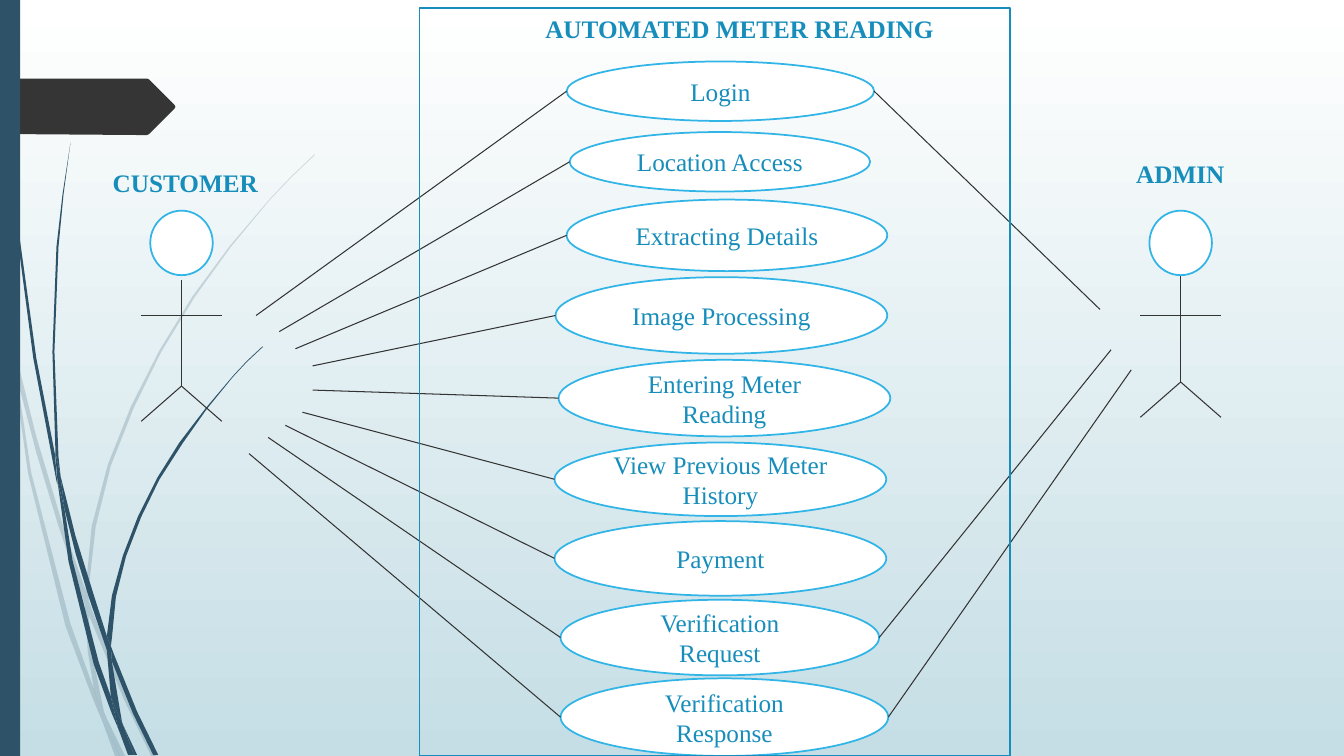
from lxml import etree
from pptx import Presentation
from pptx import util as u
from pptx.dml.color import RGBColor
from pptx.enum import shapes, text
from pptx.oxml.ns import qn

THEME = {
    "navy": "2E5369", "tag": "353535", "white": "FFFFFF", "mist": "C5DEE5",
    "sky": "31B4E6", "blue": "178DBB", "ink": "333333",
    "font": {"name": "Times New Roman", "size": u.Pt(18)},
    "thin": u.Pt(0.75), "outline": u.Pt(1.25),
}

# Grass outlines: corner points in inches, one list per blade segment
PALE_BLADES = [
    [(0.11, 3.5), (0.09, 3.22), (0, 2.82), (0, 2.99), (0.1, 3.44)],
    [(0.58, 5.22), (0.84, 5.99), (0.85, 5.86), (0.62, 5.2), (0.36, 4.33),
     (0.14, 3.45), (0.17, 3.76), (0.36, 4.49)],
    [(0.92, 6.07), (0.88, 5.96), (0.88, 6.1), (1.23, 6.94), (1.5, 7.5),
     (1.55, 7.5), (1.27, 6.92)],
    [(1.19, 7.5), (1.24, 7.5), (1.05, 7.11)],
    [(0.93, 6.83), (0.7, 6.19), (0.31, 4.69), (0.17, 3.76), (0.11, 3.5),
     (0.28, 4.7), (0.65, 6.21), (0.92, 6.93), (1.01, 7.14), (0.99, 7.07)],
    [(0.84, 5.99), (0.87, 6.46), (0.93, 6.83), (0.96, 6.92), (1.05, 7.11),
     (1.03, 7.06), (0.91, 6.46), (0.88, 6.1), (0.88, 6.08)],
    [(0.88, 5.84), (0.95, 5.22), (1.1, 4.62), (1.33, 4.04), (1.6, 3.49),
     (1.93, 2.95), (2.29, 2.45), (2.68, 1.98), (2.9, 1.75), (3.12, 1.54),
     (3.12, 1.53), (2.89, 1.75), (2.68, 1.97), (2.28, 2.44), (1.91, 2.94),
     (1.58, 3.48), (1.3, 4.03), (1.07, 4.61), (0.91, 5.22), (0.85, 5.84),
     (0.85, 5.86), (0.88, 5.96)],
    [(1.01, 7.14), (1.14, 7.5), (1.19, 7.5)],
    [(0.88, 6.08), (0.88, 5.96), (0.85, 5.86), (0.84, 5.99)],
    [(0.96, 6.92), (0.93, 6.83), (0.99, 7.07), (1.01, 7.14), (1.19, 7.5),
     (1.05, 7.11)],
]
DARK_BLADES = [
    [(0.07, 1.1), (0.17, 2.33), (0.33, 3.55), (0.56, 4.77), (0.57, 4.81),
     (0.55, 4.57), (0.55, 4.53), (0.36, 3.55), (0.19, 2.32), (0.08, 1.09),
     (0.05, 0.48), (0.04, 0), (0.03, 0), (0.04, 0.48)],
    [(0.88, 5.92), (1.06, 6.45), (1.06, 6.31), (0.93, 5.9), (0.75, 5.32),
     (0.6, 4.72), (0.64, 5.05), (0.75, 5.49)],
    [(1.13, 6.49), (1.1, 6.41), (1.11, 6.56), (1.32, 7.08), (1.52, 7.49),
     (1.57, 7.49), (1.36, 7.06)],
    [(1.1, 6.91), (0.98, 6.57), (0.72, 5.56), (0.64, 5.05), (0.57, 4.77),
     (0.68, 5.57), (0.93, 6.59), (1.11, 7.08), (1.17, 7.22), (1.16, 7.17)],
    [(0.6, 4.72), (0.58, 4.53), (0.54, 3.49), (0.58, 2.45), (0.63, 1.93),
     (0.7, 1.41), (0.62, 1.93), (0.56, 2.45), (0.52, 3.49), (0.55, 4.49)],
    [(1.33, 7.49), (1.36, 7.49), (1.22, 7.19)],
    [(0.57, 4.77), (0.64, 5.05), (0.6, 4.72), (0.55, 4.49), (0.55, 4.53)],
    [(1.11, 6.33), (1.15, 5.92), (1.25, 5.52), (1.4, 5.13), (1.58, 4.76),
     (1.81, 4.4), (2.05, 4.06), (2.31, 3.74), (2.45, 3.59), (2.61, 3.44),
     (2.6, 3.44), (2.45, 3.58), (2.31, 3.73), (2.04, 4.05), (1.78, 4.39),
     (1.56, 4.74), (1.37, 5.12), (1.22, 5.51), (1.11, 5.91), (1.06, 6.31),
     (1.1, 6.41)],
    [(1.17, 7.22), (1.27, 7.49), (1.31, 7.49)],
    [(1.06, 6.45), (1.1, 6.91), (1.16, 7.06), (1.22, 7.19), (1.21, 7.16),
     (1.11, 6.56), (1.09, 6.51)],
    [(1.06, 6.45), (1.11, 6.56), (1.1, 6.41), (1.06, 6.31)],
    [(1.16, 7.06), (1.1, 6.91), (1.16, 7.17), (1.17, 7.22), (1.3, 7.49),
     (1.33, 7.49), (1.22, 7.19)],
]
TAG = [(1.73, 1.08), (1.48, 1.33), (1.46, 1.34), (1.36, 1.34), (0, 1.33),
       (0, 0.78), (1.46, 0.78), (1.48, 0.79), (1.73, 1.04), (1.74, 1.06)]

# Use case, oval box, line start at the customer, line start at the admin
USE_CASES = [
    ("Login", (5.62, 0.61, 3.05, 0.59), (2.54, 3.13), (10.91, 3.07)),
    ("Location Access", (5.65, 1.31, 2.98, 0.59), (2.77, 3.29), None),
    ("Extracting Details", (5.62, 1.98, 3.18, 0.71), (2.93, 3.46), None),
    ("Image Processing", (5.51, 2.75, 3.29, 0.76), (3.1, 3.63), None),
    ("Entering Meter Reading", (5.54, 3.57, 3.29, 0.76), (3.1, 3.87), None),
    ("View Previous Meter History", (5.5, 4.39, 3.29, 0.73), (3, 4.09), None),
    ("Payment", (5.5, 5.17, 3.29, 0.74), (2.83, 4.22), None),
    ("Verification Request", (5.56, 5.95, 3.16, 0.75), (2.66, 4.34), (11.02, 3.47)),
    ("Verification Response", (5.56, 6.73, 3.25, 0.77), (2.47, 4.5), (11.22, 3.67)),
]
HEADINGS = [
    ("AUTOMATED METER READING", (5.31, 0.08, 4.09, 0.4)),
    ("CUSTOMER", (1.02, 1.61, 1.66, 0.4)),
    ("ADMIN", (11.17, 1.52, 1.09, 0.4)),
]
ACTORS = [(1.8, 2.78), (11.71, 2.74)]  # centre x, neck y

prs = Presentation()
prs.slide_width, prs.slide_height = u.Inches(13.33), u.Inches(7.5)
s = prs.slides.add_slide(prs.slide_layouts[6])


def paint(sp, fill=None, line=None):
    """Set fill and outline from theme names, without a shadow."""
    sp.shadow.inherit = False
    if fill:
        sp.fill.solid()
        sp.fill.fore_color.rgb = RGBColor.from_string(THEME[fill])
    else:
        sp.fill.background()
    if line:
        sp.line.color.rgb = RGBColor.from_string(THEME[line])
        sp.line.width = THEME["outline"]
    else:
        sp.line.fill.background()
    return sp


def join(start, end):
    """Draw a thin straight line between two points in inches."""
    ends = [u.Inches(v) for v in (*start, *end)]
    cxn = s.shapes.add_connector(shapes.MSO_CONNECTOR.STRAIGHT, *ends)
    cxn.line.color.rgb = RGBColor.from_string(THEME["ink"])
    cxn.line.width = THEME["thin"]
    etree.SubElement(cxn._element.spPr, qn("a:effectLst"))


# Background
fill = s.background.fill
fill.gradient()
fill.gradient_angle = 270
for stop, name in zip(fill.gradient_stops, ("white", "mist")):
    stop.color.rgb = RGBColor.from_string(THEME[name])

# Grass, side bar and tag
outlines = [(b, "navy", 20) for b in PALE_BLADES]
outlines += [(b, "navy", 100) for b in DARK_BLADES] + [(TAG, "tag", 100)]
for points, colour, opacity in outlines:
    corners = [(u.Inches(x), u.Inches(y)) for x, y in points]
    builder = s.shapes.build_freeform(*corners[0])
    builder.add_line_segments(corners[1:], close=True)
    sp = paint(builder.convert_to_shape(), colour)
    if opacity < 100:
        clr = sp._element.spPr.find(qn("a:solidFill")).find(qn("a:srgbClr"))
        etree.SubElement(clr, qn("a:alpha"), val=str(opacity * 1000))
bar = [u.Inches(v) for v in (0, 0, 0.2, 7.5)]
paint(s.shapes.add_shape(shapes.MSO_SHAPE.RECTANGLE, *bar), "navy")

# Stick figures
for x, neck in ACTORS:
    head = [u.Inches(v) for v in (x - 0.31, 2.09, 0.62, 0.64)]
    paint(s.shapes.add_shape(shapes.MSO_SHAPE.OVAL, *head), "white", "sky")
    hip = (x, neck + 1.05)
    join((x, neck), hip)
    join((x - 0.4, 3.13), (x + 0.4, 3.13))
    for side in (-0.4, 0.4):
        join(hip, (x + side, neck + 1.4))

# Use cases with their lines to the actors
captions = []
for label, box, customer, admin in USE_CASES:
    left, top, width, height = box
    sp = s.shapes.add_shape(shapes.MSO_SHAPE.OVAL, *[u.Inches(v) for v in box])
    captions.append((paint(sp, "white", "sky"), label, False))
    middle = top + height / 2
    join(customer, (left, middle))
    if admin:
        join((left + width, middle), admin)

# Headings and all wording
for label, box in HEADINGS:
    sp = s.shapes.add_textbox(*[u.Inches(v) for v in box])
    captions.append((sp, label, True))
for sp, label, heading in captions:
    tf = sp.text_frame
    tf.word_wrap = not heading
    if heading:
        tf.auto_size = text.MSO_AUTO_SIZE.SHAPE_TO_FIT_TEXT
    else:
        tf.vertical_anchor = text.MSO_ANCHOR.MIDDLE
    p = tf.paragraphs[0]
    p.alignment = text.PP_ALIGN.LEFT if heading else text.PP_ALIGN.CENTER
    r = p.add_run()
    r.text = label
    for key, value in {**THEME["font"], "bold": heading}.items():
        setattr(r.font, key, value)
    r.font.color.rgb = RGBColor.from_string(THEME["blue"])

# System boundary
frame = [u.Inches(v) for v in (4.16, 0.08, 5.86, 7.42)]
paint(s.shapes.add_shape(shapes.MSO_SHAPE.RECTANGLE, *frame), line="blue")

prs.save("out.pptx")
